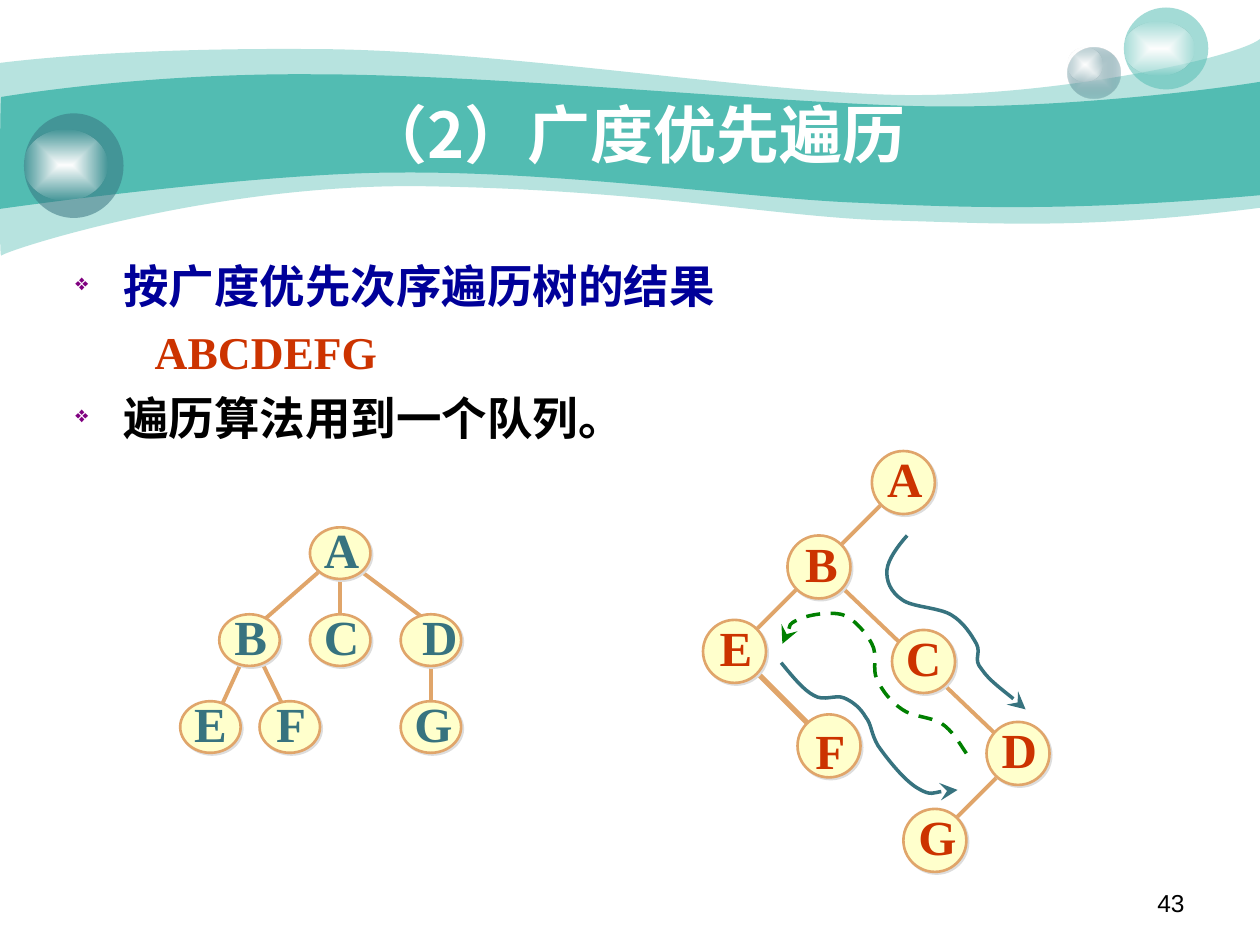
from dataclasses import dataclass

from lxml.etree import SubElement
from pptx import Presentation
from pptx.dml.color import RGBColor
from pptx.enum.dml import MSO_LINE
from pptx.enum.shapes import MSO_CONNECTOR, MSO_SHAPE
from pptx.enum.text import MSO_ANCHOR, MSO_AUTO_SIZE, PP_ALIGN
from pptx.oxml import parse_xml
from pptx.oxml.ns import nsdecls, qn
from pptx.util import Inches, Pt


@dataclass(frozen=True)
class Theme:
    teal: str = "52BCB2"
    slate: str = "37737F"
    mist: str = "CCDBDE"
    white: str = "FFFFFF"
    black: str = "000000"
    navy: str = "000099"
    red: str = "CC3300"
    green: str = "008000"
    purple: str = "800080"
    node: str = "FFFFCC"
    edge: str = "E0A56A"
    shade: str = "DDDDDD"
    chinese: str = "Noto Sans CJK SC"
    serif: str = "Times New Roman"
    sans: str = "Arial"
    title: int = 36
    body: int = 26
    label: int = 28
    number: int = 14


THEME = Theme()

# Paths: a start point, then curves (six numbers) or straight lines (two)
OUTER_WAVE = [
    (0, 0.5), (0.24, 0.47, 1.07, 0.38, 2.47, 0.39), (3.86, 0.39, 5.75, 0.7, 6.99, 0.75),
    (8.22, 0.8, 9.8, 0.47, 10, 0.31), (10, 1.65), (8.58, 1.83, 7.87, 1.77, 7.05, 1.75),
    (6.22, 1.73, 5.15, 1.51, 3.43, 1.48), (1.72, 1.44, 0.04, 1.99, 0.01, 2.03),
    (-0.01, 2.08, 0, 0.75, 0, 0.5)]
INNER_WAVE = [
    (0.01, 0.77), (0.02, 0.77, 1.1, 0.58, 2.48, 0.59), (3.86, 0.59, 5.95, 0.8, 7.18, 0.84),
    (8.41, 0.88, 9.76, 0.69, 10, 0.65), (10, 1.55), (8.53, 1.68, 7.65, 1.65, 6.82, 1.61),
    (5.99, 1.58, 4.47, 1.36, 3.17, 1.37), (2.03, 1.37, -0.02, 1.66, -0.01, 1.66),
    (0, 1.66, 0, 0.77, 0.01, 0.77)]
ROUTE_ACD = [
    (7.2, 4.25), (7.12, 4.34, 7.05, 4.44, 7.04, 4.52), (7.03, 4.61, 7.07, 4.7, 7.16, 4.76),
    (7.24, 4.82, 7.45, 4.82, 7.55, 4.88), (7.65, 4.94, 7.71, 5.04, 7.75, 5.11),
    (7.79, 5.19, 7.72, 5.23, 7.79, 5.31), (7.85, 5.4, 8.08, 5.57, 8.14, 5.63)]
ROUTE_BACK = [
    (7.67, 5.98), (7.61, 5.89, 7.56, 5.8, 7.47, 5.74), (7.39, 5.69, 7.24, 5.69, 7.16, 5.63),
    (7.07, 5.57, 7, 5.48, 6.96, 5.39), (6.92, 5.31, 6.97, 5.2, 6.92, 5.11),
    (6.88, 5.03, 6.78, 4.91, 6.69, 4.88), (6.59, 4.85, 6.41, 4.88, 6.33, 4.92),
    (6.25, 4.96, 6.23, 5.08, 6.21, 5.11)]
ROUTE_EFG = [
    (6.2, 5.26), (6.29, 5.37, 6.38, 5.48, 6.46, 5.52), (6.54, 5.57, 6.63, 5.51, 6.7, 5.54),
    (6.77, 5.57, 6.83, 5.62, 6.87, 5.69), (6.92, 5.75, 6.91, 5.82, 6.97, 5.92),
    (7.04, 6.02, 7.18, 6.2, 7.29, 6.26), (7.39, 6.32, 7.55, 6.26, 7.6, 6.27)]

# Trees: node centres, and edges as start, end and width
TREE_NODES = {"A": (2.7, 4.39), "B": (1.98, 5.08), "C": (2.7, 5.08), "D": (3.42, 5.08),
              "E": (1.67, 5.77), "F": (2.3, 5.77), "G": (3.42, 5.77)}
TREE_EDGES = [(3.42, 5.22, 3.42, 5.64, 2.25), (2.06, 5.22, 2.3, 5.71, 2.25),
              (1.9, 5.29, 1.74, 5.64, 2.25), (2.86, 4.53, 3.42, 4.95, 2.25),
              (2.7, 4.6, 2.7, 4.95, 2.25), (2.54, 4.53, 2.06, 4.95, 2.25)]
BINARY_NODES = {"A": (7.17, 3.83), "B": (6.5, 4.5), "C": (7.33, 5.25), "D": (8.08, 5.98),
                "E": (5.83, 5.17), "F": (6.58, 5.92), "G": (7.42, 6.67)}
BINARY_EDGES = [(8, 6.08, 7.5, 6.58, 2.25), (5.92, 5.25, 6.42, 5.75, 3),
                (7.08, 3.92, 5.92, 5.08, 2.25), (6.67, 4.65, 8, 5.92, 2.25)]
LABEL_NUDGE = (0.01, -0.03)
TREE_NUDGES = {"D": (0.07, -0.03), "E": (0, -0.03)}
BINARY_NUDGES = {"B": (0.02, -0.03), "C": (0, -0.03), "F": (0.01, 0.04)}


def color(code):
    return RGBColor.from_string(code)


def style_font(para, size, code, name, bold=True):
    font = para.font
    font.size, font.bold, font.name = Pt(size), bold, name
    font.color.rgb = color(code)
    east_asian = SubElement(para._p.pPr.find(qn("a:defRPr")), qn("a:ea"))
    east_asian.set("typeface", THEME.chinese)


def add_path(shapes, path, closed):
    corners = [(Inches(x), Inches(y)) for part in path
               for x, y in zip(part[::2], part[1::2])]
    builder = shapes.build_freeform(*corners[0])
    builder.add_line_segments(corners[1:], close=closed)
    shape = builder.convert_to_shape()
    shape.shadow.inherit = False
    # Join each three corners of a curve into one Bezier segment
    segments = iter(list(shape.element.spPr.iter(qn("a:lnTo"))))
    for part in path[1:]:
        group = [next(segments) for _ in range(len(part) // 2)]
        if len(group) == 3:
            curve = group[0].makeelement(qn("a:cubicBezTo"))
            group[0].addprevious(curve)
            for segment in group:
                curve.append(segment[0])
                segment.getparent().remove(segment)
    return shape


def fill_solid(shape, code, opacity=100):
    shape.fill.solid()
    shape.fill.fore_color.rgb = color(code)
    if opacity < 100:
        tone = shape.element.spPr.find(qn("a:solidFill")).find(qn("a:srgbClr"))
        SubElement(tone, qn("a:alpha")).set("val", str(opacity * 1000))


def fill_glow(shape, inner, outer, opacity):
    glow = parse_xml(
        f'<a:gradFill {nsdecls("a")} rotWithShape="1"><a:gsLst>'
        f'<a:gs pos="0"><a:srgbClr val="{inner}"/></a:gs><a:gs pos="100000">'
        f'<a:srgbClr val="{outer}"><a:alpha val="{opacity * 1000}"/></a:srgbClr></a:gs>'
        '</a:gsLst><a:path path="rect"><a:fillToRect l="50000" t="50000" r="50000" b="50000"/>'
        '</a:path></a:gradFill>')
    shape.element.spPr.find(qn("a:prstGeom")).addnext(glow)


def add_wave(slide, path, opacity):
    wave = add_path(slide.shapes, path, closed=True)
    fill_solid(wave, THEME.teal, opacity)
    wave.line.fill.background()


def add_ellipse(shapes, left, top, width, height):
    ellipse = shapes.add_shape(MSO_SHAPE.OVAL, *map(Inches, (left, top, width, height)))
    ellipse.shadow.inherit = False
    ellipse.line.fill.background()
    return ellipse


def add_orb(slide, ball, shine, code, opacity, inner=None):
    group = slide.shapes.add_group_shape()
    sphere = add_ellipse(group.shapes, *ball)
    if inner:
        fill_glow(sphere, inner, code, opacity)
    else:
        fill_solid(sphere, code, opacity)
    fill_glow(add_ellipse(group.shapes, *shine), THEME.white, THEME.white, 0)


def add_edge(shapes, x1, y1, x2, y2, width):
    edge = shapes.add_connector(MSO_CONNECTOR.STRAIGHT, *map(Inches, (x1, y1, x2, y2)))
    edge.line.color.rgb = color(THEME.edge)
    edge.line.width = Pt(width)
    SubElement(edge.element.spPr, qn("a:effectLst"))


def add_node(shapes, center, width, height):
    x, y = center
    node = add_ellipse(shapes, x - width / 2, y - height / 2, width, height)
    fill_solid(node, THEME.node)
    node.line.color.rgb = color(THEME.edge)
    node.line.width = Pt(1.5)
    shadow = SubElement(node.element.spPr.find(qn("a:effectLst")), qn("a:outerShdw"),
                        dist=str(Pt(1.4)), dir="2700000", algn="ctr", rotWithShape="0")
    SubElement(shadow, qn("a:srgbClr"), val=THEME.shade)


def add_label(shapes, letter, center, nudge, code):
    x, y = (place + shift for place, shift in zip(center, nudge))
    box = shapes.add_textbox(*map(Inches, (x - 0.24, y - 0.29, 0.48, 0.57)))
    frame = box.text_frame
    frame.word_wrap = False
    frame.auto_size = MSO_AUTO_SIZE.SHAPE_TO_FIT_TEXT
    frame.vertical_anchor = MSO_ANCHOR.MIDDLE
    para = frame.paragraphs[0]
    para.text, para.alignment = letter, PP_ALIGN.CENTER
    style_font(para, THEME.label, code, THEME.serif)


def add_tree(slide, nodes, edges, size, code, nudges):
    shapes = slide.shapes.add_group_shape().shapes
    for edge in edges:
        add_edge(shapes, *edge)
    for center in nodes.values():
        add_node(shapes, center, *size)
    for letter, center in nodes.items():
        add_label(shapes, letter, center, nudges.get(letter, LABEL_NUDGE), code)
    return shapes


def add_route(shapes, path, code, dash=None):
    route = add_path(shapes, path, closed=False)
    route.fill.background()
    route.line.color.rgb = color(code)
    route.line.width = Pt(2)
    if dash:
        route.line.dash_style = dash
    SubElement(route.element.spPr.find(qn("a:ln")), qn("a:tailEnd"),
               type="stealth", w="lg", len="lg")


def add_title(slide, text):
    title = slide.shapes.title
    title.left, title.top, title.width, title.height = map(Inches, (1, 0.75, 8.08, 0.62))
    title.element.getparent().append(title.element)  # in front of the waves
    title.text_frame.vertical_anchor = MSO_ANCHOR.MIDDLE
    para = title.text_frame.paragraphs[0]
    para.text, para.alignment = text, PP_ALIGN.CENTER
    style_font(para, THEME.title, THEME.white, THEME.chinese)


def add_body(slide, lines):
    frame = slide.shapes.add_textbox(*map(Inches, (0.5, 2, 9, 1.92))).text_frame
    frame.word_wrap = True
    for index, (text, code, bulleted) in enumerate(lines):
        para = frame.add_paragraph() if index else frame.paragraphs[0]
        para.text, para.space_before = text, Pt(6.5)
        properties = para._p.get_or_add_pPr()
        properties.set("marL", str(Inches(0.38 if bulleted else 0.63)))
        if bulleted:
            properties.set("indent", str(Inches(-0.38)))
            SubElement(SubElement(properties, qn("a:buClr")), qn("a:srgbClr"), val=THEME.purple)
            SubElement(properties, qn("a:buSzPct"), val="50000")
            SubElement(properties, qn("a:buChar"), char="❖")
        style_font(para, THEME.body, code, THEME.serif)


def add_page_number(slide, number):
    box = slide.shapes.add_textbox(*map(Inches, (7.17, 7, 2.33, 0.35)))
    box.text_frame.word_wrap = True
    para = box.text_frame.paragraphs[0]
    para.text, para.alignment = number, PP_ALIGN.RIGHT
    style_font(para, THEME.number, THEME.black, THEME.sans, bold=False)


def main():
    deck = Presentation()
    deck.slide_width, deck.slide_height = Inches(10), Inches(7.5)
    slide = deck.slides.add_slide(deck.slide_layouts[5])

    # Backdrop
    add_wave(slide, OUTER_WAVE, 41)
    add_wave(slide, INNER_WAVE, 100)
    add_orb(slide, (8.47, 0.38, 0.42, 0.4), (8.47, 0.38, 0.28, 0.27), THEME.slate, 31, THEME.mist)
    add_orb(slide, (8.92, 0.06, 0.67, 0.65), (8.92, 0.17, 0.56, 0.43), THEME.teal, 53)
    add_orb(slide, (0.19, 0.9, 0.79, 0.83), (0.19, 1.03, 0.66, 0.56), THEME.slate, 53)

    # Text
    add_page_number(slide, "43")
    add_title(slide, "（2）广度优先遍历")
    add_body(slide, [("按广度优先次序遍历树的结果", THEME.navy, True),
                     ("ABCDEFG", THEME.red, False),
                     ("遍历算法用到一个队列。", THEME.black, True)])

    # Binary tree with the traversal routes, then the general tree
    binary = add_tree(slide, BINARY_NODES, BINARY_EDGES, (0.5, 0.5), THEME.red, BINARY_NUDGES)
    add_route(binary, ROUTE_ACD, THEME.slate)
    add_route(binary, ROUTE_BACK, THEME.green, MSO_LINE.DASH)
    add_route(binary, ROUTE_EFG, THEME.slate)
    add_tree(slide, TREE_NODES, TREE_EDGES, (0.48, 0.41), THEME.slate, TREE_NUDGES)

    deck.save("out.pptx")


if __name__ == "__main__":
    main()
